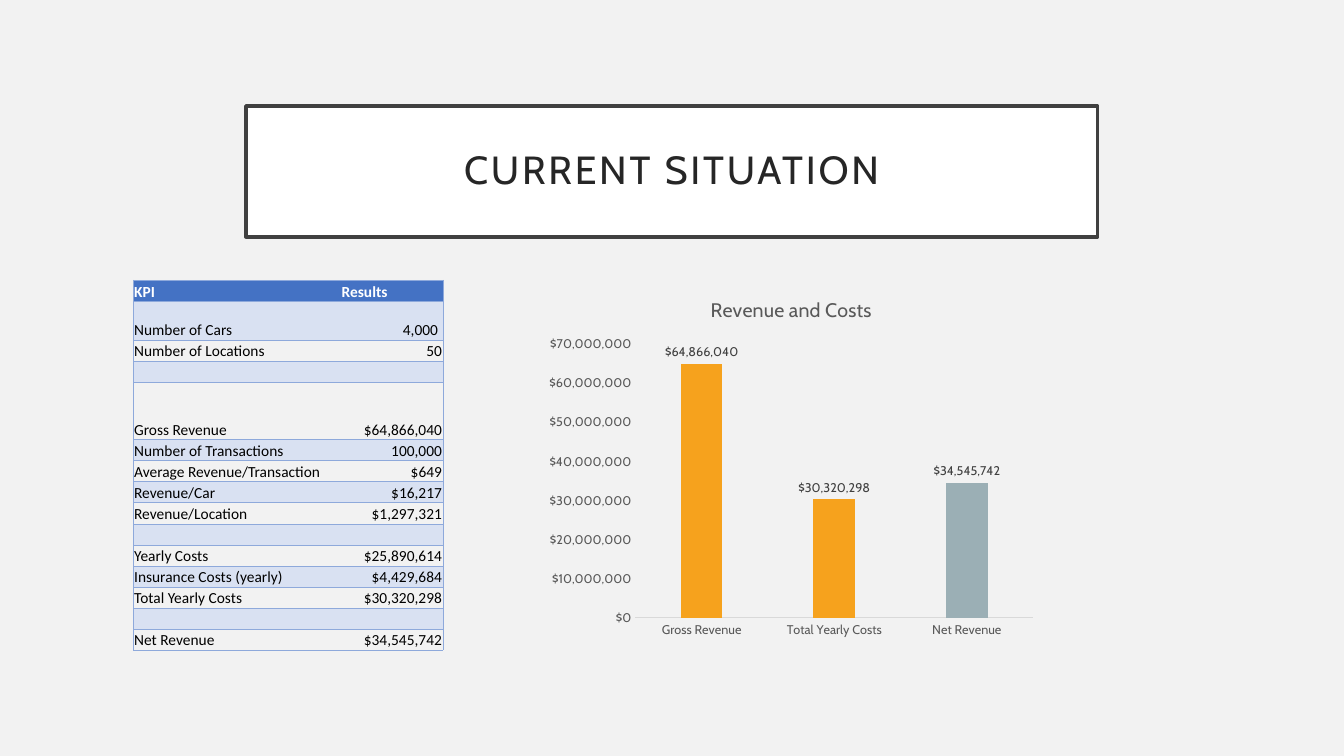
from lxml import etree
from pptx import Presentation
from pptx import util as u
from pptx.chart.data import CategoryChartData
from pptx.dml.color import RGBColor
from pptx.enum import chart as ch, text
from pptx.oxml.ns import qn

COLORS = {
    "background": "F2F2F2", "white": "FFFFFF", "frame": "404040", "title": "262626",
    "header": "4472C4", "band": "D9E1F2", "border": "8EA9DB", "black": "000000",
    "gray": "595959", "axis": "D9D9D9", "orange": "F6A21D", "teal": "9BAFB5",
}
TITLE = "CURRENT SITUATION"
KPIS = [
    ("KPI", "Results"),
    ("Number of Cars", "4,000"),
    ("Number of Locations", "50"),
    ("", ""),
    ("Gross Revenue", "$64,866,040"),
    ("Number of Transactions", "100,000"),
    ("Average Revenue/Transaction", "$649"),
    ("Revenue/Car", "$16,217"),
    ("Revenue/Location", "$1,297,321"),
    ("", ""),
    ("Yearly Costs", "$25,890,614"),
    ("Insurance Costs (yearly)", "$4,429,684"),
    ("Total Yearly Costs", "$30,320,298"),
    ("", ""),
    ("Net Revenue", "$34,545,742"),
]
COL_WIDTHS = (5.23, 2.57)
ROW_HEIGHT = 0.53
TALL_ROWS = {1: 0.98, 4: 1.45}
CHART_TITLE = "Revenue and Costs"
BARS = {"Gross Revenue": 64866040, "Total Yearly Costs": 30320298, "Net Revenue": 34545742}
MONEY = '"$"#,##0'


def rgb(name):
    return RGBColor.from_string(COLORS[name])


def style(font, size, color, name="Cabin", bold=False):
    font.size, font.name, font.bold = u.Pt(size), name, bold
    font.color.rgb = rgb(color)


def set_border(cell, side, color):
    ln = etree.SubElement(cell._tc.get_or_add_tcPr(), qn(f"a:ln{side}"), w=str(u.Pt(0.5)))
    if color:
        fill = etree.SubElement(ln, qn("a:solidFill"))
        etree.SubElement(fill, qn("a:srgbClr"), val=COLORS[color])
    else:
        etree.SubElement(ln, qn("a:noFill"))


def add_title(s):
    sp = s.shapes.title
    sp.left, sp.top, sp.width, sp.height = u.Cm(6.2), u.Cm(2.67), u.Cm(21.46), u.Cm(3.3)
    sp.fill.solid()
    sp.fill.fore_color.rgb = rgb("white")
    sp.line.color.rgb = rgb("frame")
    sp.line.width = u.Pt(2.5)
    tf = sp.text_frame
    tf.text = TITLE
    tf.word_wrap = True
    tf.auto_size = text.MSO_AUTO_SIZE.NONE
    tf.vertical_anchor = text.MSO_ANCHOR.MIDDLE
    tf.margin_left = tf.margin_right = tf.margin_top = tf.margin_bottom = u.Cm(0.51)
    p = tf.paragraphs[0]
    p.alignment, p.line_spacing = text.PP_ALIGN.CENTER, 0.9
    r = p.runs[0]
    style(r.font, 28, "title")
    r.font._element.set("spc", "200")


def fill_cell(cell, row, col, value):
    for side, color in zip("LRTB", ("border" if col == 0 else None,
                                    "border" if col == 1 else None, "border", "border")):
        set_border(cell, side, color)
    if row == 0 or row % 2:
        cell.fill.solid()
        cell.fill.fore_color.rgb = rgb("band" if row else "header")
    else:
        cell.fill.background()
    cell.margin_left = cell.margin_right = cell.margin_top = u.Cm(0.02)
    cell.margin_bottom = 0
    cell.vertical_anchor = text.MSO_ANCHOR.BOTTOM
    p = cell.text_frame.paragraphs[0]
    if not value:
        etree.SubElement(p._p, qn("a:endParaRPr"), sz="1100")
        return
    p.text = value
    p.alignment = text.PP_ALIGN.RIGHT if row and col else text.PP_ALIGN.LEFT
    style(p.runs[0].font, 11, "black" if row else "white", "Calibri", row == 0)


def add_kpi_table(s):
    heights = [TALL_ROWS.get(i, ROW_HEIGHT) for i in range(len(KPIS))]
    table = s.shapes.add_table(len(KPIS), 2, u.Cm(3.36), u.Cm(7.06),
                               u.Cm(sum(COL_WIDTHS)), u.Cm(sum(heights))).table
    for column, width in zip(table.columns, COL_WIDTHS):
        column.width = u.Cm(width)
    for i, (height, values) in enumerate(zip(heights, KPIS)):
        table.rows[i].height = u.Cm(height)
        for j, value in enumerate(values):
            fill_cell(table.cell(i, j), i, j, value)
    table.cell(1, 1).margin_right = u.Cm(0.12)


def add_revenue_chart(s):
    data = CategoryChartData(number_format=MONEY)
    data.categories = list(BARS)
    data.add_series("Series 1", list(BARS.values()))
    chart = s.shapes.add_chart(ch.XL_CHART_TYPE.COLUMN_CLUSTERED, u.Cm(13.59), u.Cm(7.06),
                               u.Cm(12.7), u.Cm(9.19), data).chart
    style(chart.font, 10, "black")
    chart.has_legend = False
    chart.has_title = True
    tf = chart.chart_title.text_frame
    tf.text = CHART_TITLE
    style(tf.paragraphs[0].runs[0].font, 14, "gray")
    chart.chart_title.include_in_layout = False

    for axis in (chart.category_axis, chart.value_axis):
        axis.major_tick_mark = axis.minor_tick_mark = ch.XL_TICK_MARK.NONE
        axis.has_major_gridlines = False
        style(axis.tick_labels.font, 9, "gray")
    chart.category_axis.format.line.color.rgb = rgb("axis")
    chart.category_axis.format.line.width = u.Pt(0.75)
    value_axis = chart.value_axis
    value_axis.format.line.fill.background()
    value_axis.minimum_scale, value_axis.maximum_scale = 0, 70000000
    value_axis.major_unit = 10000000
    value_axis.tick_labels.number_format = MONEY
    value_axis.tick_labels.number_format_is_linked = False

    plot = chart.plots[0]
    plot.gap_width, plot.overlap, plot.vary_by_categories = 219, -27, False
    series = plot.series[0]
    net_revenue = series.points[len(BARS) - 1]
    for part, color in ((series, "orange"), (net_revenue, "teal")):
        part.format.fill.solid()
        part.format.fill.fore_color.rgb = rgb(color)
    labels = series.data_labels
    labels.show_value = True
    labels.position = ch.XL_LABEL_POSITION.OUTSIDE_END
    labels.number_format, labels.number_format_is_linked = MONEY, False
    style(labels.font, 9, "frame")


def main():
    prs = Presentation()
    prs.slide_width, prs.slide_height = u.Cm(33.87), u.Cm(19.05)
    s = prs.slides.add_slide(prs.slide_layouts[5])
    s.background.fill.solid()
    s.background.fill.fore_color.rgb = rgb("background")
    add_title(s)
    add_kpi_table(s)
    add_revenue_chart(s)
    prs.save("out.pptx")


if __name__ == "__main__":
    main()
